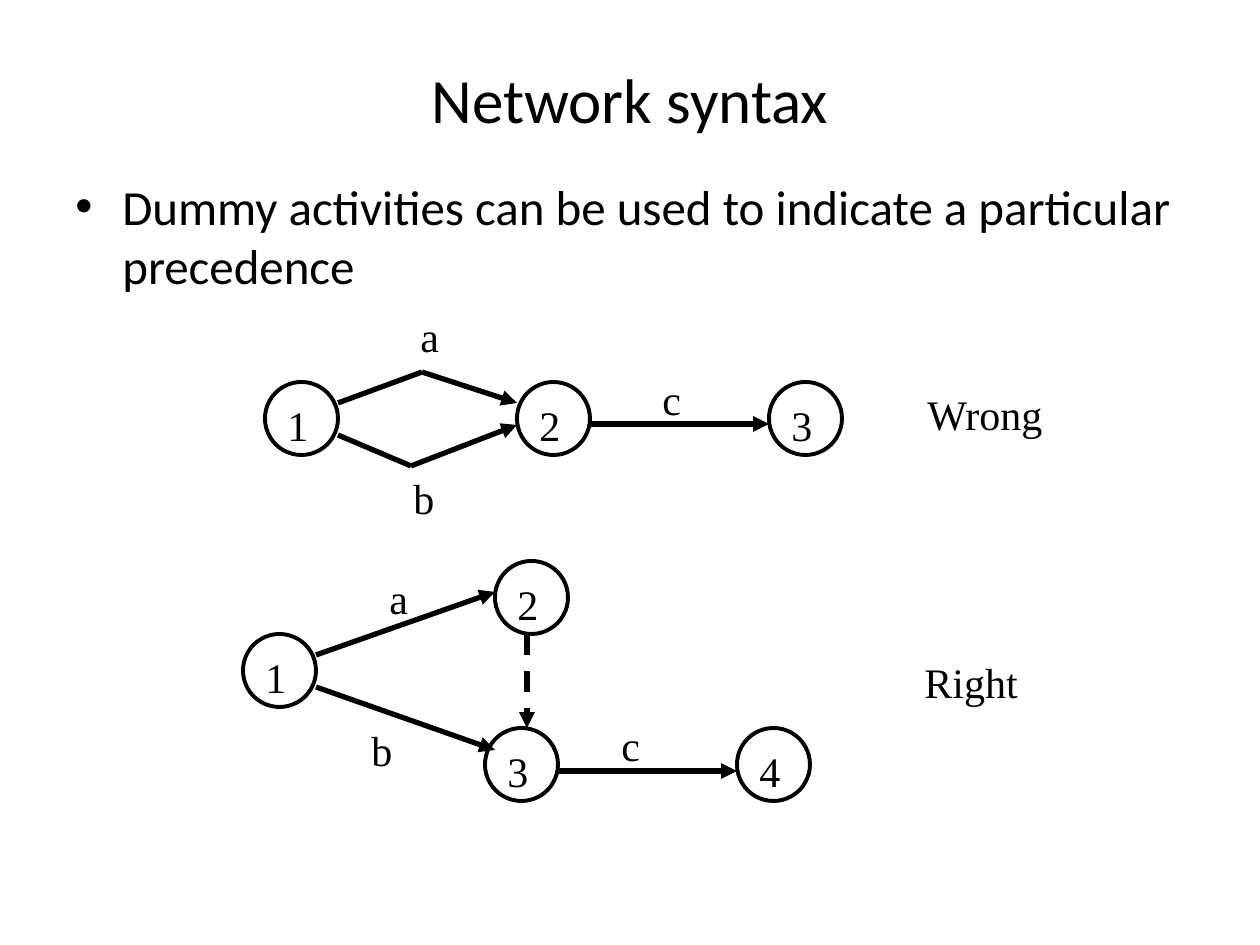
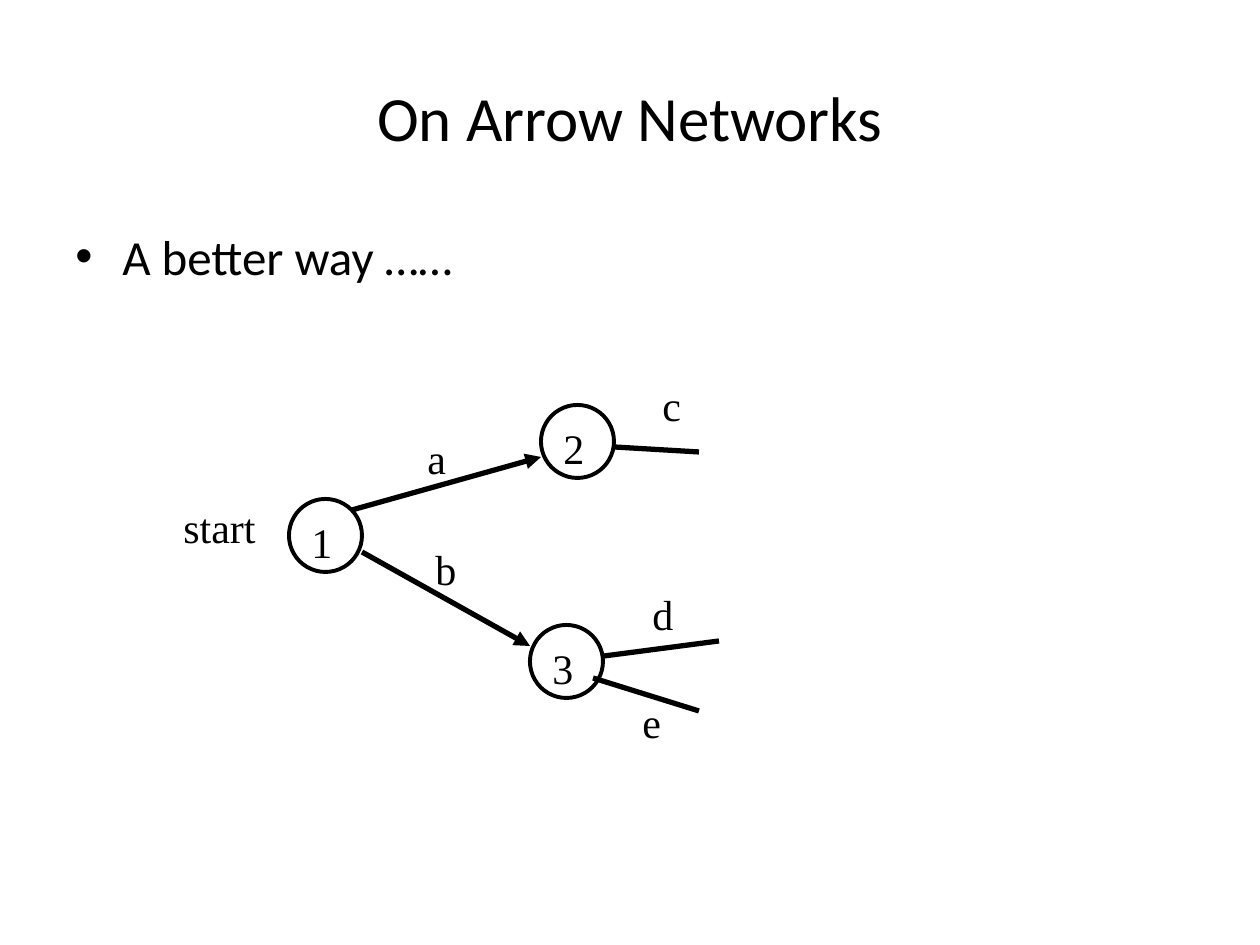
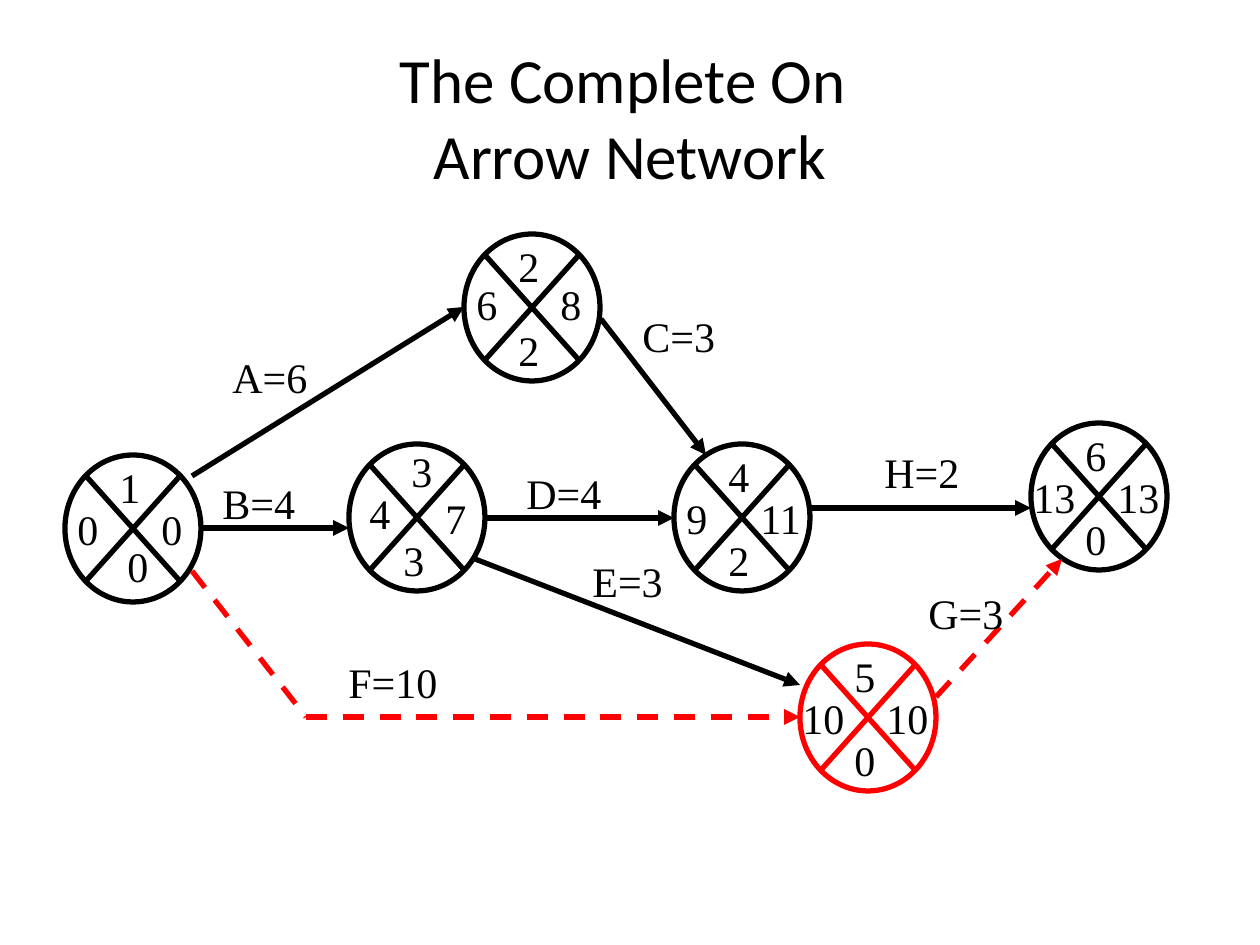
from dataclasses import dataclass

from lxml.etree import SubElement
from pptx import Presentation
from pptx.dml.color import RGBColor
from pptx.enum.dml import MSO_LINE_DASH_STYLE as Dash
from pptx.enum.shapes import MSO_CONNECTOR as Conn, MSO_SHAPE as Shape
from pptx.enum.text import MSO_ANCHOR as Anchor, MSO_AUTO_SIZE as Fit, PP_ALIGN as Align
from pptx.oxml.ns import qn
from pptx.util import Emu, Pt


@dataclass(frozen=True)
class Theme:
    ink: RGBColor = RGBColor(0, 0, 0)
    critical: RGBColor = RGBColor(255, 0, 0)
    heading_font: str = "Calibri"
    label_font: str = "Times New Roman"
    title: float = 36
    body: float = 28
    label: float = 24
    thin: float = 2.25
    thick: float = 3


THEME = Theme()
PX_PER_INCH = 126
NODE = 73
EVENT_W, EVENT_H = 136, 147
CROSS_INSET = 21
LABEL_H = 63

# Character widths in thousandths of an em; every other character is 500.
EM_WIDTHS = {
    **dict.fromkeys("ADGH", 722), **dict.fromkeys("BCR", 667), **dict.fromkeys("ace", 444),
    **dict.fromkeys("ti", 278), "W": 944, "E": 611, "F": 556, "=": 564, "s": 389, "r": 333,
}


def px(n):
    return Emu(round(n * 914400 / PX_PER_INCH))


def set_all(obj, formats):
    for name, value in formats.items():
        setattr(obj, name, value)


def write(p, text, font, size):
    r = p.add_run()
    r.text = text
    set_all(r.font, {"name": font, "size": Pt(size)})
    r.font.color.rgb = THEME.ink


def add_text(s, x, y, w, h, **frame):
    """Add an empty text box and return its text frame."""
    tf = s.shapes.add_textbox(*map(px, (x, y, w, h))).text_frame
    set_all(tf, {"word_wrap": True, "auto_size": Fit.NONE, **frame})
    return tf


def add_title(s, box, lines):
    p = add_text(s, *box, vertical_anchor=Anchor.MIDDLE).paragraphs[0]
    p.alignment = Align.CENTER
    for i, line in enumerate(lines):
        if i:
            p.add_line_break()
        write(p, line, THEME.heading_font, THEME.title)


def add_bullet(s, box, text):
    p = add_text(s, *box).paragraphs[0]
    p.space_before = Pt(THEME.body * 0.2)
    pPr = p._p.get_or_add_pPr()
    indent = px(47)
    pPr.set("marL", str(indent))
    pPr.set("indent", str(-indent))
    SubElement(pPr, qn("a:buFont")).set("typeface", "Arial")
    SubElement(pPr, qn("a:buChar")).set("char", "•")
    write(p, text, THEME.heading_font, THEME.body)


def label_width(text):
    ems = sum(EM_WIDTHS.get(ch, 500) for ch in text) / 1000
    return round((ems * THEME.label / 72 + 0.2) * PX_PER_INCH)


def add_label(s, text, x, y):
    tf = add_text(s, x, y, label_width(text), LABEL_H, word_wrap=False,
                  auto_size=Fit.SHAPE_TO_FIT_TEXT)
    write(tf.paragraphs[0], text, THEME.label_font, THEME.label)


def add_circle(s, x, y, w, h, color, weight):
    sp = s.shapes.add_shape(Shape.OVAL, *map(px, (x, y, w, h)))
    sp.shadow.inherit = False
    sp.fill.background()
    sp.line.color.rgb = color
    sp.line.width = Pt(weight)


def add_line(s, x1, y1, x2, y2, color=THEME.ink, arrow=False, dashed=False):
    cx = s.shapes.add_connector(Conn.STRAIGHT, *map(px, (x1, y1, x2, y2)))
    cx.line.color.rgb = color
    cx.line.width = Pt(THEME.thick)
    if dashed:
        cx.line.dash_style = Dash.DASH
    if arrow:
        SubElement(cx.line._get_or_add_ln(), qn("a:tailEnd")).set("type", "triangle")
    SubElement(cx._element.spPr, qn("a:effectLst"))


def add_node(s, x, y, number):
    add_circle(s, x, y, NODE, NODE, THEME.ink, THEME.thin)
    add_label(s, number, x + 10, y + 11)


def add_event(s, x, y, values, color=THEME.ink, nudges=None):
    """Draw a crossed circle; values run top, left, right, bottom."""
    add_circle(s, x, y, EVENT_W, EVENT_H, color, THEME.thick)
    left, right = x + CROSS_INSET, x + EVENT_W - CROSS_INSET
    top, bottom = y + CROSS_INSET, y + EVENT_H - CROSS_INSET
    add_line(s, left, top, right, bottom, color)
    add_line(s, right, top, left, bottom, color)
    sectors = {"top": (65, 0), "left": (23, 42), "right": (107, 42), "bottom": (65, 84)}
    for text, (sector, (mid, dy)) in zip(values, sectors.items()):
        nx, ny = (nudges or {}).get(sector, (0, 0))
        add_label(s, text, x + mid - label_width(text) // 2 + nx, y + dy + ny)


def add_links(s, x, y, links):
    """Draw lines given as (x1, y1, x2, y2, formats) from the corner x, y."""
    for x1, y1, x2, y2, formats in links:
        add_line(s, x + x1, y + y1, x + x2, y + y2, **formats)


def add_labels(s, x, y, labels):
    for text, dx, dy in labels:
        add_label(s, text, x + dx, y + dy)


def add_network(s, origin, nodes, links, labels):
    x, y = origin
    for number, dx, dy in nodes:
        add_node(s, x + dx, y + dy, number)
    add_links(s, x, y, links)
    add_labels(s, x, y, labels)


PLAIN = {}
ARROW = {"arrow": True}
DUMMY = {"arrow": True, "dashed": True}
CRITICAL = {"color": THEME.critical, "dashed": True}
CRITICAL_ARROW = {**CRITICAL, "arrow": True}


def wrong_network(s, origin):
    add_network(
        s, origin,
        nodes=[(str(i + 1), 252 * i, 78) for i in range(3)],
        links=[(325, 120, 504, 120, ARROW),
               (73, 99, 157, 68, PLAIN), (157, 68, 252, 99, ARROW),
               (73, 131, 146, 162, PLAIN), (146, 162, 252, 121, ARROW)],
        labels=[("Wrong", 650, 78), ("a", 143, 0), ("b", 136, 162), ("c", 385, 63)])


def right_network(s, origin):
    add_network(
        s, origin,
        nodes=[("1", 0, 73), ("2", 252, 0), ("3", 242, 167), ("4", 494, 167)],
        links=[(315, 210, 494, 210, ARROW), (73, 94, 252, 31, ARROW),
               (73, 126, 252, 189, ARROW), (284, 73, 284, 167, DUMMY)],
        labels=[("Right", 669, 89), ("a", 134, 5), ("b", 116, 157), ("c", 366, 152)])


def start_network(s, origin):
    add_network(
        s, origin,
        nodes=[("1", 118, 126), ("2", 370, 32), ("3", 359, 252)],
        links=[(181, 137, 370, 84, ARROW), (191, 179, 359, 273, ARROW),
               (443, 74, 528, 79, PLAIN), (433, 283, 548, 268, PLAIN),
               (422, 305, 528, 338, PLAIN)],
        labels=[("start", 0, 122), ("a", 244, 53), ("b", 252, 164),
                ("c", 479, 0), ("d", 469, 209), ("e", 459, 317)])


def complete_network(s, origin):
    x, y = origin
    events = [
        (0, 221, ("1", "0", "0", "0"), {"nudges": {"bottom": (8, -5)}}),
        (399, 0, ("2", "6", "8", "2"), {"nudges": {"left": (0, -4), "right": (0, -4)}}),
        (284, 210, ("3", "4", "7", "3"), {"nudges": {"top": (8, -5), "left": (8, -5)}}),
        (609, 210, ("4", "9", "11", "2"), {}),
        (735, 410, ("5", "10", "10", "0"), {"color": THEME.critical}),
        (966, 189, ("6", "13", "13", "0"), {}),
    ]
    for dx, dy, values, formats in events:
        add_event(s, x + dx, y + dy, values, **formats)
    add_links(s, x, y, [
        (127, 242, 399, 73, ARROW), (137, 294, 284, 294, ARROW),
        (420, 284, 609, 284, ARROW), (745, 274, 966, 274, ARROW),
        (536, 85, 641, 221, ARROW), (410, 325, 735, 451, ARROW),
        (127, 337, 241, 483, CRITICAL), (241, 483, 735, 483, CRITICAL_ARROW),
        (871, 463, 997, 325, CRITICAL_ARROW)])
    add_labels(s, x, y, [
        ("A=6", 155, 111), ("B=4", 145, 237), ("C=3", 565, 70), ("D=4", 449, 227),
        ("E=3", 515, 315), ("F=10", 271, 416), ("G=3", 851, 347), ("H=2", 807, 206)])


def main():
    prs = Presentation()
    prs.slide_width, prs.slide_height = px(1260), px(945)
    title_box = (63, 38, 1134, 157)
    syntax, better, complete = (prs.slides.add_slide(prs.slide_layouts[6]) for _ in range(3))

    add_title(syntax, (63, 38, 1134, 120), ["Network syntax"])
    add_bullet(syntax, (63, 170, 1134, 624),
               "Dummy activities can be used to indicate a particular precedence")
    wrong_network(syntax, (265, 304))
    right_network(syntax, (243, 561))

    add_title(better, title_box, ["On Arrow Networks"])
    add_bullet(better, (63, 220, 1134, 624), "A better way ……")
    start_network(better, (171, 373))

    add_title(complete, title_box, ["The Complete On ", "Arrow Network"])
    complete_network(complete, (65, 234))
    prs.save("out.pptx")


if __name__ == "__main__":
    main()
